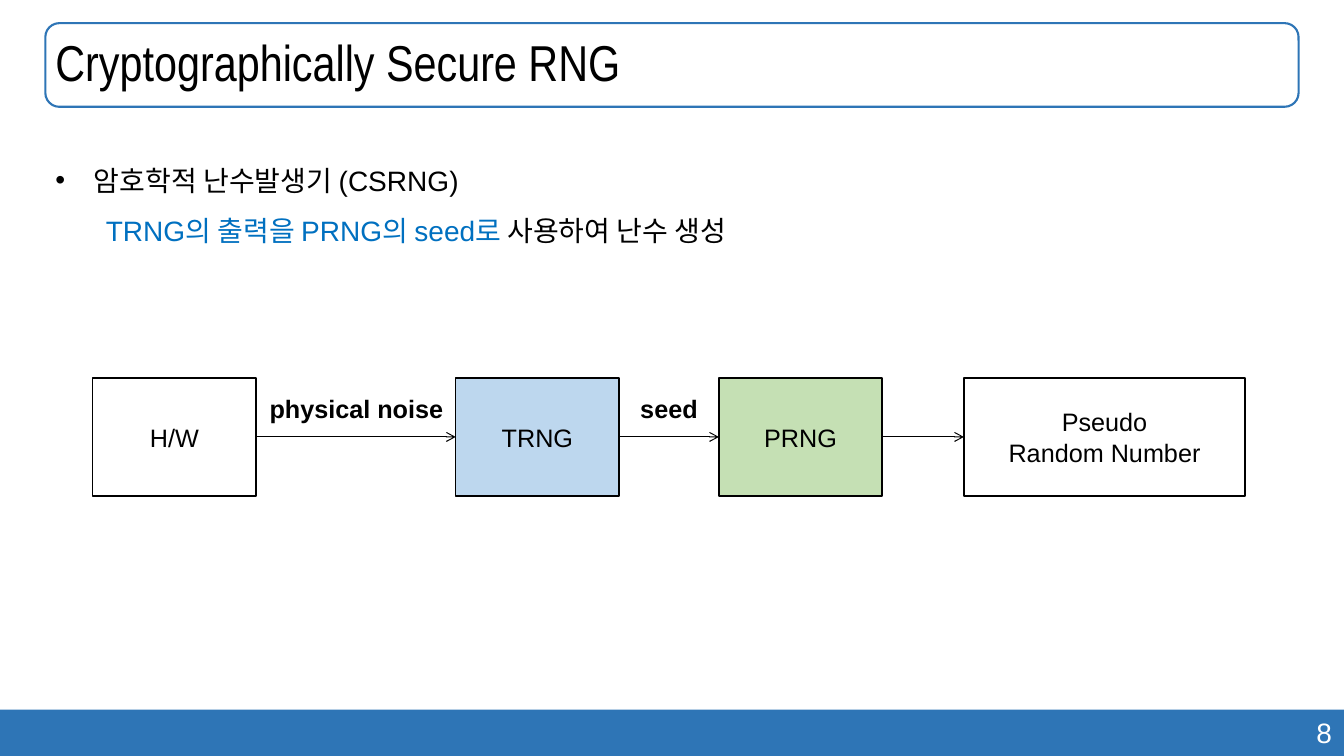
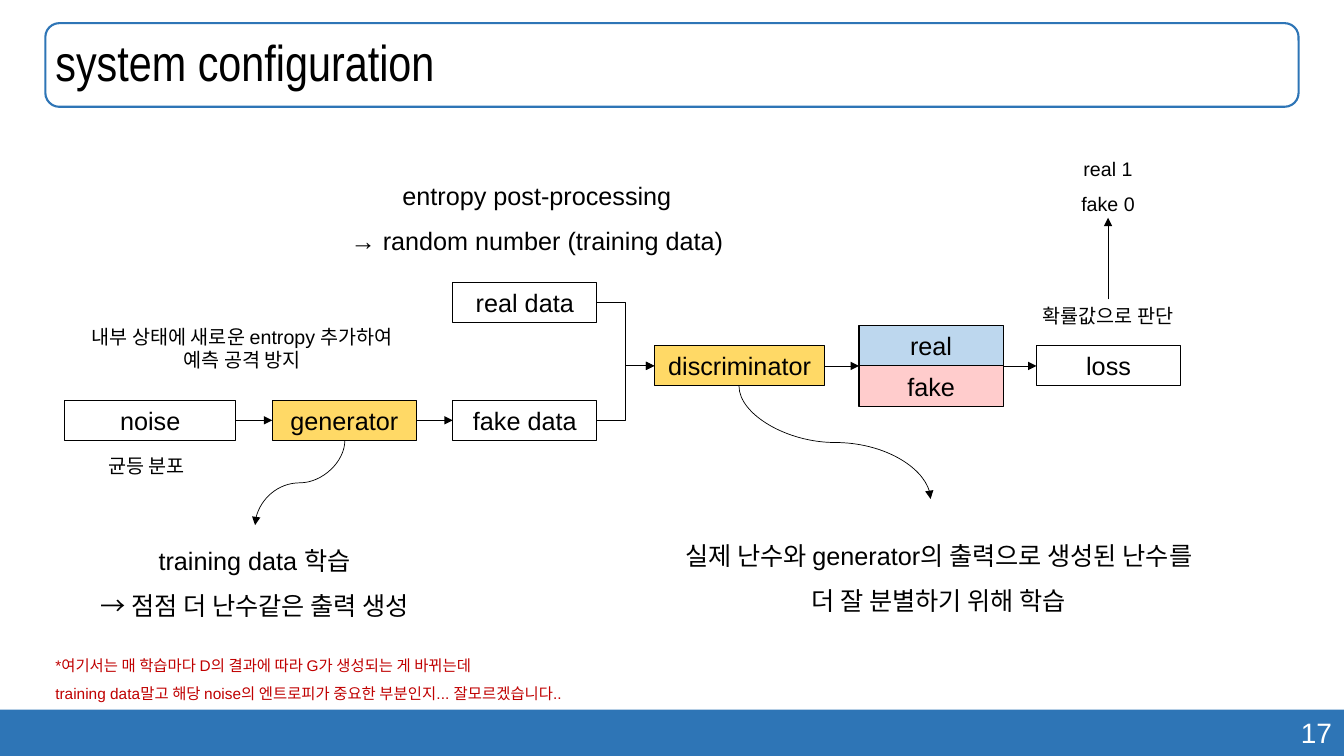
from dataclasses import dataclass
from typing import Union

from lxml import etree
from pptx import Presentation
from pptx.dml.color import RGBColor
from pptx.enum import shapes, text
from pptx.oxml import ns
from pptx.util import Inches, Pt

COLORS = {
    "band": "2E75B6",
    "white": "FFFFFF",
    "black": "000000",
    "blue text": "0070C0",
    "red text": "C00000",
    "light blue": "BDD7EE",
    "green": "C5E0B4",
    "yellow": "FFD966",
    "pink": "FFCCCC",
}
BODY_FONT = "Arial"
TITLE_FONT = "Arial Narrow"
FRAME = (0.45, 0.23, 12.43, 0.83)
LEFT_SIDE, RIGHT_SIDE = 1, 3
CENTER, LEFT, RIGHT = text.PP_ALIGN.CENTER, text.PP_ALIGN.LEFT, text.PP_ALIGN.RIGHT
MIDDLE = text.MSO_ANCHOR.MIDDLE
STRAIGHT = shapes.MSO_CONNECTOR.STRAIGHT
ELBOW = shapes.MSO_CONNECTOR.ELBOW
CURVE = shapes.MSO_CONNECTOR.CURVE

Point = tuple[float, float]


@dataclass
class Box:
    words: str
    left: float
    top: float
    width: float
    height: float
    fill: str = "white"
    outline: float = 0.75


@dataclass
class Label:
    words: str
    left: float
    top: float
    width: float
    height: float
    size: float = 18
    spacing: float = 1.0
    align: text.PP_ALIGN = CENTER
    color: str = "black"
    bold: bool = False


@dataclass
class Arrow:
    start: Union[str, Point]
    end: Union[str, Point]
    kind: shapes.MSO_CONNECTOR = STRAIGHT
    head: str = "triangle"
    weight: float = 0.5


def rgb(name: str) -> RGBColor:
    return RGBColor.from_string(COLORS[name])


def inches(*lengths: float) -> list:
    return [Inches(length) for length in lengths]


def place(shape, left: float, top: float, width: float, height: float) -> None:
    shape.left, shape.top, shape.width, shape.height = inches(left, top, width, height)


def style(paragraph, size: float, color: str = "black", face: str = BODY_FONT,
          align: text.PP_ALIGN = LEFT, spacing: float = 1.0, bold: bool = False) -> None:
    paragraph.alignment = align
    paragraph.line_spacing = spacing
    paragraph.space_before = Pt(0)
    font = paragraph.font
    font.name, font.size, font.bold = face, Pt(size), bold
    font.color.rgb = rgb(color)


def add_panel(slide, kind: shapes.MSO_SHAPE, at: tuple, fill: str = "",
              line: str = "", weight: float = 0.75):
    panel = slide.shapes.add_shape(kind, *inches(*at))
    panel.shadow.inherit = False
    if fill:
        panel.fill.solid()
        panel.fill.fore_color.rgb = rgb(fill)
    else:
        panel.fill.background()
    if line:
        panel.line.color.rgb = rgb(line)
        panel.line.width = Pt(weight)
    else:
        panel.line.fill.background()
    return panel


def add_label(slide, label: Label) -> None:
    caption = slide.shapes.add_textbox(
        *inches(label.left, label.top, label.width, label.height))
    frame = caption.text_frame
    frame.word_wrap = True
    frame.text = label.words
    for paragraph in frame.paragraphs:
        style(paragraph, label.size, label.color, align=label.align,
              spacing=label.spacing, bold=label.bold)


def add_box(slide, box: Box):
    node = add_panel(slide, shapes.MSO_SHAPE.RECTANGLE,
                     (box.left, box.top, box.width, box.height),
                     box.fill, "black", box.outline)
    frame = node.text_frame
    frame.word_wrap = True
    frame.vertical_anchor = MIDDLE
    frame.text = box.words
    for paragraph in frame.paragraphs:
        style(paragraph, 18, align=CENTER)
    return node


def end_point(target: Union[str, Point], nodes: dict, side: int) -> tuple:
    if not isinstance(target, str):
        return tuple(inches(*target))
    node = nodes[target]
    x = node.left + (node.width if side == RIGHT_SIDE else 0)
    return x, node.top + node.height // 2


def add_arrow(slide, arrow: Arrow, nodes: dict) -> None:
    x1, y1 = end_point(arrow.start, nodes, RIGHT_SIDE)
    x2, y2 = end_point(arrow.end, nodes, LEFT_SIDE)
    turn = ""
    if arrow.kind == CURVE:
        middle_x, middle_y = (x1 + x2) // 2, (y1 + y2) // 2
        half_x, half_y = abs(x2 - x1) // 2, abs(y2 - y1) // 2
        rightward = x2 > x1
        turn = "16200000" if rightward else "5400000"
        reach = -half_y if rightward else half_y
        x1, x2 = middle_x - reach, middle_x + reach
        y1, y2 = middle_y - half_x, middle_y + half_x
    link = slide.shapes.add_connector(arrow.kind, x1, y1, x2, y2)
    if isinstance(arrow.start, str):
        link.begin_connect(nodes[arrow.start], RIGHT_SIDE)
    if isinstance(arrow.end, str):
        link.end_connect(nodes[arrow.end], LEFT_SIDE)
    link.line.color.rgb = rgb("black")
    link.line.width = Pt(arrow.weight)
    properties = link.element.spPr
    if turn:
        properties.find(ns.qn("a:xfrm")).set("rot", turn)
    tip = etree.SubElement(properties.find(ns.qn("a:ln")), ns.qn("a:tailEnd"))
    tip.set("type", arrow.head)
    etree.SubElement(properties, ns.qn("a:effectLst"))


def add_diagram(slide, boxes: list[Box], arrows: list[Arrow], labels: list[Label]) -> None:
    nodes = {box.words: add_box(slide, box) for box in boxes}
    for arrow in arrows:
        add_arrow(slide, arrow, nodes)
    for label in labels:
        add_label(slide, label)


def start_slide(deck, layout: int, heading: str, number: int):
    slide = deck.slides.add_slide(deck.slide_layouts[layout])
    add_panel(slide, shapes.MSO_SHAPE.RECTANGLE, (0, 7.04, 13.33, 0.46), "band")
    add_panel(slide, shapes.MSO_SHAPE.ROUNDED_RECTANGLE, FRAME, line="band", weight=1.5)
    title = slide.shapes.title
    place(title, *FRAME)
    title.text_frame.text = heading
    title.text_frame.vertical_anchor = MIDDLE
    title.text_frame.auto_size = text.MSO_AUTO_SIZE.NONE
    style(title.text_frame.paragraphs[0], 36, face=TITLE_FONT, spacing=0.9)
    add_label(slide, Label(str(number), 9.41, 7.05, 3.9, 0.44, 20,
                           align=RIGHT, color="white"))
    return slide


def set_indent(paragraph, margin: float, indent: float, bullet: str = "") -> None:
    properties = paragraph._p.get_or_add_pPr()
    properties.set("marL", str(Inches(margin)))
    properties.set("indent", str(Inches(indent)))
    if bullet:
        etree.SubElement(properties, ns.qn("a:buFont")).set("typeface", BODY_FONT)
        etree.SubElement(properties, ns.qn("a:buChar")).set("char", bullet)
    else:
        etree.SubElement(properties, ns.qn("a:buNone"))


def build_secure_rng(deck) -> None:
    slide = start_slide(deck, 1, "Cryptographically Secure RNG", 8)
    body = slide.placeholders[1]
    place(body, 0.45, 1.43, 7.96, 1.05)
    frame = body.text_frame
    frame.vertical_anchor = MIDDLE
    frame.auto_size = text.MSO_AUTO_SIZE.NONE
    topic = frame.paragraphs[0]
    topic.text = "암호학적 난수발생기 (CSRNG)"
    set_indent(topic, 0.38, -0.38, "•")
    detail = frame.add_paragraph()
    detail.level = 1
    set_indent(detail, 0.5, 0)
    emphasis = detail.add_run()
    emphasis.text = "TRNG의 출력을 PRNG의 seed로 "
    emphasis.font.color.rgb = rgb("blue text")
    detail.add_run().text = "사용하여 난수 생성"
    for paragraph in (topic, detail):
        style(paragraph, 20, spacing=1.5)

    top, height = 3.75, 1.17
    output = "Pseudo\nRandom Number"
    boxes = [
        Box("H/W", 0.92, top, 1.62, height, outline=1),
        Box("TRNG", 4.52, top, 1.62, height, "light blue", 1),
        Box("PRNG", 7.13, top, 1.62, height, "green", 1),
        Box(output, 9.56, top, 2.79, height, outline=1),
    ]
    arrows = [Arrow(a.words, b.words, head="arrow", weight=0.75)
              for a, b in zip(boxes, boxes[1:])]
    labels = [
        Label("physical noise", 2.49, 3.85, 2.09, 0.4, bold=True),
        Label("seed", 6.2, 3.85, 0.87, 0.4, bold=True),
    ]
    add_diagram(slide, boxes, arrows, labels)


def build_system(deck) -> None:
    slide = start_slide(deck, 5, "system configuration", 17)
    width, height = 1.43, 0.4
    noise_top, judge_top = 3.97, 3.43
    judge_middle = judge_top + height / 2
    boxes = [
        Box("noise", 0.64, noise_top, 1.7, height),
        Box("generator", 2.7, noise_top, width, height, "yellow"),
        Box("fake data", 4.49, noise_top, width, height),
        Box("real data", 4.49, 2.8, width, height),
        Box("discriminator", 6.49, judge_top, 1.69, height, "yellow"),
        Box("real", 8.52, judge_middle - height, width, height, "light blue"),
        Box("fake", 8.52, judge_middle, width, height, "pink"),
        Box("loss", 10.28, judge_top, width, height),
    ]
    arrows = [
        Arrow("noise", "generator"),
        Arrow("generator", "fake data"),
        Arrow("real data", "discriminator", ELBOW),
        Arrow("fake data", "discriminator", ELBOW),
        Arrow("discriminator", (8.52, judge_middle)),
        Arrow((9.95, judge_middle), "loss"),
        Arrow((10.99, 2.97), (10.99, 2.16)),
        Arrow((7.33, 3.83), (9.23, 4.95), CURVE),
        Arrow((3.42, 4.37), (2.53, 5.21), CURVE),
    ]
    labels = [
        Label("entropy post-processing\n→ random number (training data)",
              2.97, 1.59, 4.71, 0.95, spacing=1.5),
        Label("실제 난수와 generator의 출력으로 생성된 난수를\n더 잘 분별하기 위해 학습",
              6.49, 5.16, 5.64, 0.95, spacing=1.5),
        Label("training data 학습\n→ 점점 더 난수같은 출력 생성",
              0.73, 5.21, 3.59, 0.95, spacing=1.5),
        Label("real 1\nfake 0", 8.8, 1.39, 4.38, 0.76, 14, 1.5),
        Label("확률값으로 판단", 9.98, 2.97, 2.02, 0.34, 14),
        Label("내부 상태에 새로운 entropy 추가하여\n예측 공격 방지",
              0.09, 3.17, 4.63, 0.57, 14),
        Label("균등 분포", 0.88, 4.45, 1.15, 0.34, 14),
        Label("*여기서는 매 학습마다 D의 결과에 따라 G가 생성되는 게 바뀌는데\n"
              "training data말고 해당 noise의 엔트로피가 중요한 부분인지... 잘모르겠습니다..",
              0.45, 6.37, 6.15, 0.62, 11, 1.5, LEFT, "red text"),
    ]
    add_diagram(slide, boxes, arrows, labels)


def main() -> None:
    deck = Presentation()
    deck.slide_width, deck.slide_height = inches(13.33, 7.5)
    build_secure_rng(deck)
    build_system(deck)
    deck.save("out.pptx")


if __name__ == "__main__":
    main()
